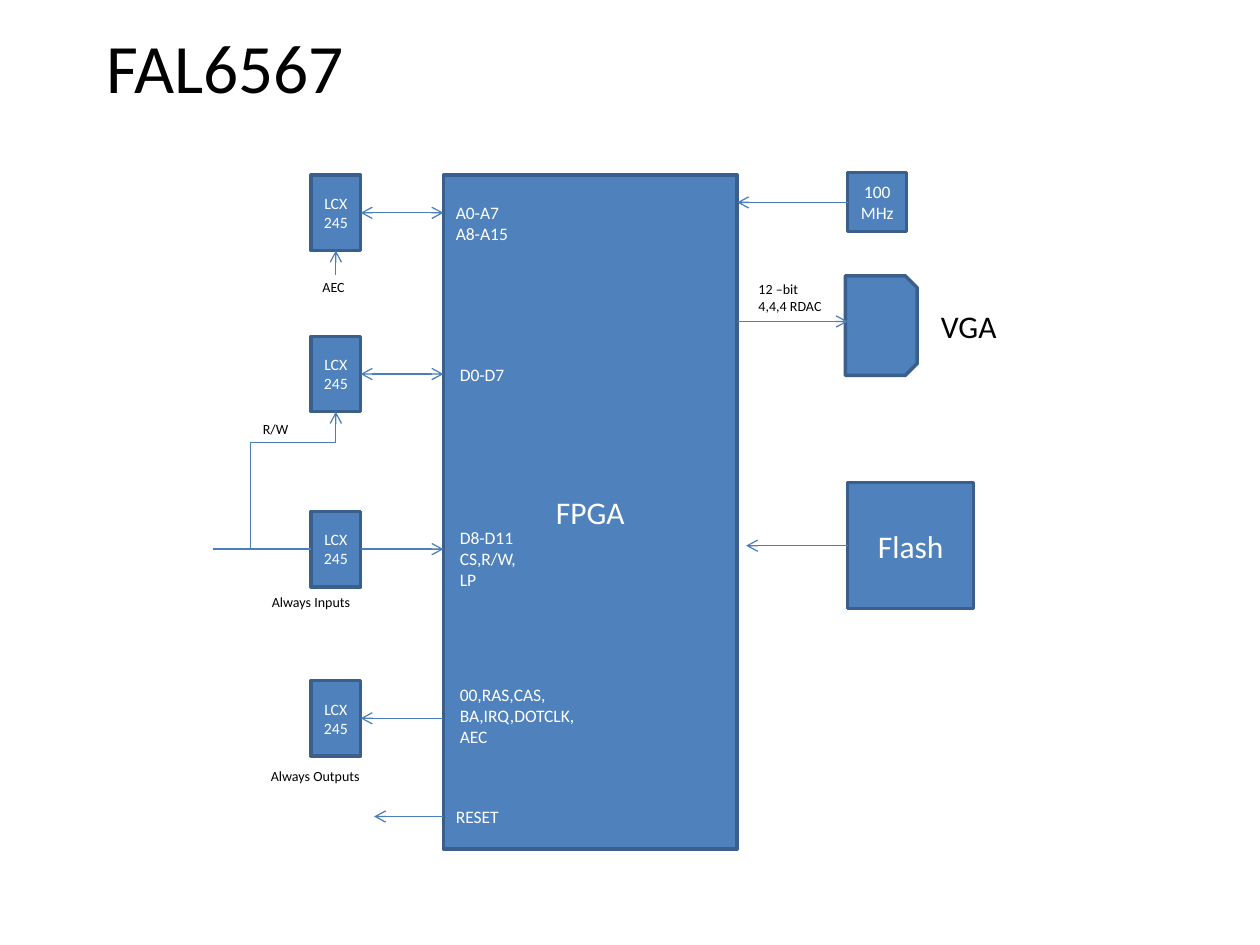
from dataclasses import dataclass

import lxml.etree
import pptx
import pptx.dml.color
import pptx.enum.shapes
import pptx.enum.text
import pptx.oxml.ns
import pptx.util

Cm = pptx.util.Cm
Pt = pptx.util.Pt
Kind = pptx.enum.shapes.MSO_SHAPE
Anchor = pptx.enum.text.MSO_ANCHOR
Align = pptx.enum.text.PP_ALIGN

COLORS = {
    "block": "4F81BD",
    "border": "3A5F8C",
    "wire": "4B7EBC",
    "black": "000000",
    "white": "FFFFFF",
}
FONT = "Calibri"

FPGA_LEFT, FPGA_TOP, FPGA_WIDTH, FPGA_HEIGHT = 8.94, 3.53, 5.92, 13.59
FPGA_RIGHT = FPGA_LEFT + FPGA_WIDTH
BUFFER_LEFT, BUFFER_WIDTH, BUFFER_HEIGHT = 6.27, 1.0, 1.52
BUFFER_RIGHT = BUFFER_LEFT + BUFFER_WIDTH
BUFFER_MIDDLE = BUFFER_LEFT + BUFFER_WIDTH / 2
DEVICE_LEFT = 17.09
ADDRESS_TOP, DATA_TOP, INPUT_TOP, OUTPUT_TOP = 3.53, 6.78, 10.31, 13.72
INPUT_Y = INPUT_TOP + BUFFER_HEIGHT / 2
BRANCH_X, BRANCH_Y = 5.05, 8.92


@dataclass
class Block:
    text: str
    left: float
    top: float
    width: float
    height: float
    size: float
    kind: Kind = Kind.RECTANGLE
    rotation: float = 0


@dataclass
class Label:
    text: str
    left: float
    top: float
    width: float
    height: float
    size: float = 8
    color: str = "black"


@dataclass
class Wire:
    start_x: float
    start_y: float
    end_x: float
    end_y: float
    head: bool = False
    tail: bool = True


@dataclass
class Buffer:
    top: float
    to_fpga: bool
    from_fpga: bool


def rgb(name: str) -> pptx.dml.color.RGBColor:
    return pptx.dml.color.RGBColor.from_string(COLORS[name])


def write_text(shape, text: str, *, size: float, color: str, align=Align.LEFT,
               anchor=Anchor.TOP, wrap: bool = True, side_margin: float = 0.25) -> None:
    frame = shape.text_frame
    frame.word_wrap = wrap
    frame.vertical_anchor = anchor
    frame.margin_left = frame.margin_right = Cm(side_margin)
    frame.text = text
    for paragraph in frame.paragraphs:
        paragraph.alignment = align
        paragraph.font.name = FONT
        paragraph.font.size = Pt(size)
        paragraph.font.color.rgb = rgb(color)


def draw_block(slide, block: Block) -> None:
    shape = slide.shapes.add_shape(
        block.kind, Cm(block.left), Cm(block.top), Cm(block.width), Cm(block.height))
    shape.rotation = block.rotation
    shape.shadow.inherit = False
    shape.fill.solid()
    shape.fill.fore_color.rgb = rgb("block")
    shape.line.color.rgb = rgb("border")
    shape.line.width = Pt(2)
    if block.text:
        write_text(shape, block.text, size=block.size, color="white",
                   align=Align.CENTER, anchor=Anchor.MIDDLE, side_margin=0.1)


def draw_label(slide, label: Label) -> None:
    box = slide.shapes.add_textbox(
        Cm(label.left), Cm(label.top), Cm(label.width), Cm(label.height))
    write_text(box, label.text, size=label.size, color=label.color, wrap=False)
    box.text_frame.auto_size = pptx.enum.text.MSO_AUTO_SIZE.SHAPE_TO_FIT_TEXT


def draw_wire(slide, wire: Wire) -> None:
    connector = slide.shapes.add_connector(
        pptx.enum.shapes.MSO_CONNECTOR.STRAIGHT,
        Cm(wire.start_x), Cm(wire.start_y), Cm(wire.end_x), Cm(wire.end_y))
    connector.line.color.rgb = rgb("wire")
    connector.line.width = Pt(0.75)
    line = connector.line._get_or_add_ln()
    for tag, shown in (("a:headEnd", wire.head), ("a:tailEnd", wire.tail)):
        if shown:
            lxml.etree.SubElement(line, pptx.oxml.ns.qn(tag), type="arrow")
    lxml.etree.SubElement(connector._element.spPr, pptx.oxml.ns.qn("a:effectLst"))


def draw_buffer(slide, buffer: Buffer) -> None:
    draw_block(slide, Block("LCX\v245", BUFFER_LEFT, buffer.top,
                            BUFFER_WIDTH, BUFFER_HEIGHT, 9))
    middle = buffer.top + BUFFER_HEIGHT / 2
    draw_wire(slide, Wire(BUFFER_RIGHT, middle, FPGA_LEFT, middle,
                          head=buffer.from_fpga, tail=buffer.to_fpga))


BLOCKS = [
    Block("FPGA", FPGA_LEFT, FPGA_TOP, FPGA_WIDTH, FPGA_HEIGHT, 18),
    Block("100 MHz", DEVICE_LEFT, 3.48, 1.19, 1.19, 10),
    Block("", 16.76, 5.84, 2.01, 1.45, 10, Kind.SNIP_2_SAME_RECTANGLE, 90),
    Block("Flash", DEVICE_LEFT, 9.73, 2.54, 2.54, 18),
]

BUFFERS = [
    Buffer(ADDRESS_TOP, True, True),
    Buffer(DATA_TOP, True, True),
    Buffer(INPUT_TOP, True, False),
    Buffer(OUTPUT_TOP, False, True),
]

WIRES = [
    Wire(BUFFER_MIDDLE, 5.54, BUFFER_MIDDLE, ADDRESS_TOP + BUFFER_HEIGHT),
    Wire(BUFFER_MIDDLE, BRANCH_Y, BUFFER_MIDDLE, DATA_TOP + BUFFER_HEIGHT),
    Wire(BUFFER_MIDDLE, BRANCH_Y, BRANCH_X, BRANCH_Y, tail=False),
    Wire(BRANCH_X, BRANCH_Y, BRANCH_X, INPUT_Y, tail=False),
    Wire(4.29, INPUT_Y, BUFFER_LEFT, INPUT_Y, tail=False),
    Wire(DEVICE_LEFT, 4.08, FPGA_RIGHT, 4.08),
    Wire(FPGA_RIGHT, 6.48, DEVICE_LEFT, 6.48),
    Wire(DEVICE_LEFT, 11, 15.04, 11),
    Wire(FPGA_LEFT, 16.46, 7.54, 16.46),
]

LABELS = [
    Label("A0-A7\nA8-A15", 8.94, 3.94, 1.57, 1.12, 10, "white"),
    Label("D0-D7", 9.02, 7.21, 1.42, 0.69, 10, "white"),
    Label("D8-D11\nCS,R/W,\nLP", 9.02, 10.49, 1.7, 1.55, 10, "white"),
    Label("00,RAS,CAS,\nBA,IRQ,DOTCLK,\nAEC", 9.02, 13.67, 2.87, 1.55, 10, "white"),
    Label("RESET", 8.94, 16.13, 1.4, 0.69, 10, "white"),
    Label("AEC", 6.25, 5.49, 0.97, 0.61),
    Label("R/W", 5.05, 8.36, 1.04, 0.61),
    Label("Always Inputs", 5.23, 11.84, 2.11, 0.61),
    Label("Always Outputs", 5.21, 15.34, 2.34, 0.61),
    Label("12 –bit\n4,4,4 RDAC", 15.04, 5.54, 1.8, 0.94),
    Label("VGA", 18.72, 6.07, 1.65, 1.02, 18),
]


def main() -> None:
    presentation = pptx.Presentation()
    presentation.slide_width = Cm(25.4)
    presentation.slide_height = Cm(19.05)
    slide = presentation.slides.add_slide(presentation.slide_layouts[6])
    title = slide.shapes.add_textbox(Cm(1.9), Cm(0.74), Cm(21.6), Cm(1.19))
    write_text(title, "FAL6567", size=39.6, color="black", anchor=Anchor.MIDDLE)
    for block in BLOCKS:
        draw_block(slide, block)
    for buffer in BUFFERS:
        draw_buffer(slide, buffer)
    for wire in WIRES:
        draw_wire(slide, wire)
    for label in LABELS:
        draw_label(slide, label)
    presentation.save("out.pptx")


if __name__ == "__main__":
    main()
